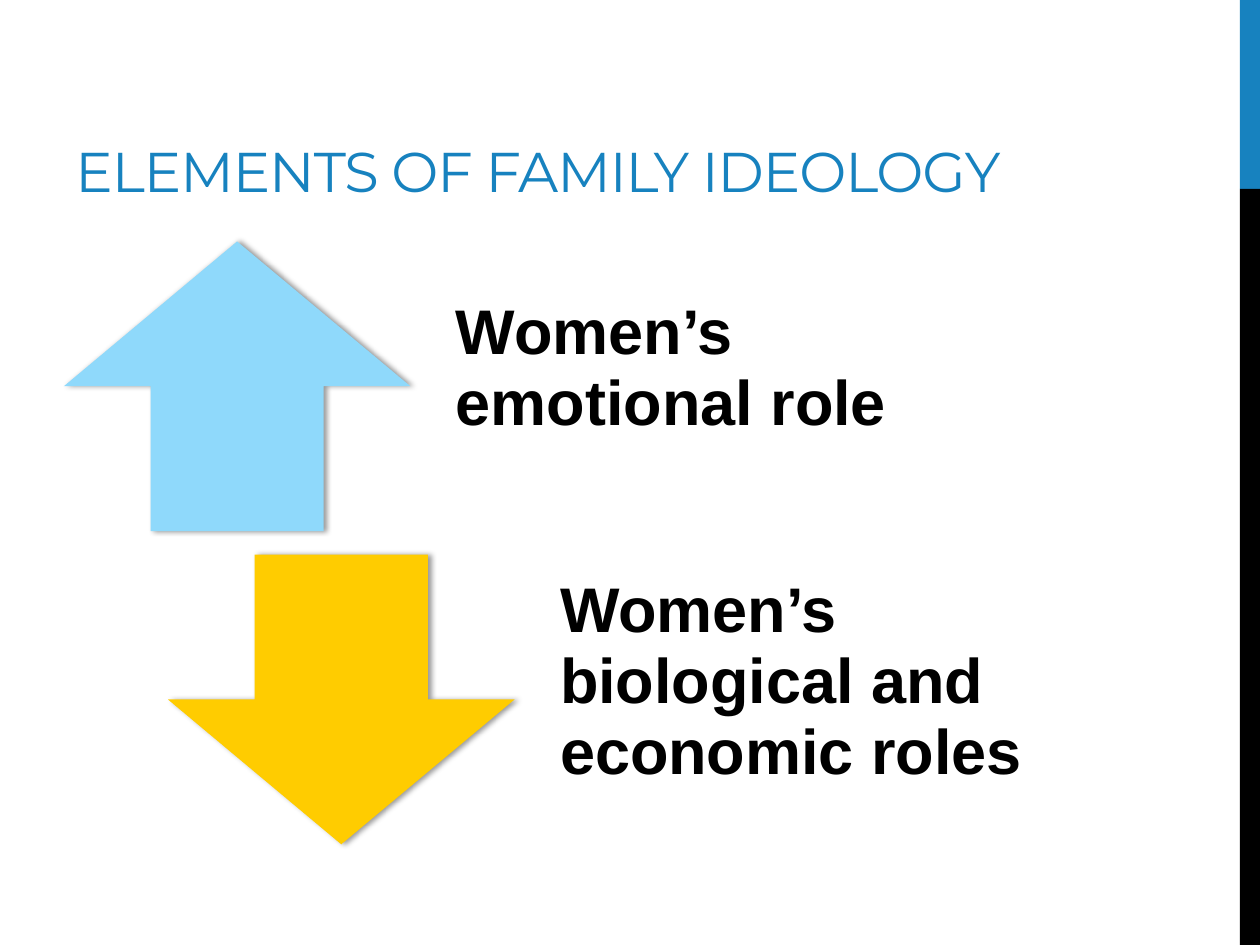
from lxml import etree
from pptx import Presentation
from pptx.dml.color import RGBColor
from pptx.enum.shapes import MSO_SHAPE
from pptx.enum.text import MSO_ANCHOR
from pptx.oxml.ns import qn
from pptx.util import Pt

RECTANGLE = MSO_SHAPE.RECTANGLE
UP_ARROW, DOWN_ARROW = MSO_SHAPE.UP_ARROW, MSO_SHAPE.DOWN_ARROW
MIDDLE, BOTTOM = MSO_ANCHOR.MIDDLE, MSO_ANCHOR.BOTTOM
BLUE, BLACK = "1782BF", "000000"

deck = Presentation()
deck.slide_width, deck.slide_height = Pt(720), Pt(540)
page = deck.slides.add_slide(deck.slide_layouts[6])


def add_filled(kind, left, top, width, height, color):
    shape = page.shapes.add_shape(kind, Pt(left), Pt(top), Pt(width), Pt(height))
    shape.shadow.inherit = False
    shape.fill.solid()
    shape.fill.fore_color.rgb = RGBColor.from_string(color)
    shape.line.fill.background()
    return shape


def add_text(text, left, top, width, height, *, font, size, color, anchor,
             insets, bold=False, line_spacing=1.0):
    box = page.shapes.add_textbox(Pt(left), Pt(top), Pt(width), Pt(height))
    frame = box.text_frame
    frame.word_wrap = True
    frame.vertical_anchor = anchor
    (frame.margin_left, frame.margin_top,
     frame.margin_right, frame.margin_bottom) = [Pt(inset) for inset in insets]
    para = frame.paragraphs[0]
    para.line_spacing = line_spacing
    span = para.add_run()
    span.text = text
    span.font.name, span.font.size, span.font.bold = font, Pt(size), bold
    span.font.color.rgb = RGBColor.from_string(color)
    return span


# Side band
add_filled(RECTANGLE, 708.5, 0, 11.5, 108, BLUE)
add_filled(RECTANGLE, 708.5, 108, 11.5, 432, BLACK)

# Title, slightly tightened
title = add_text("ELEMENTS OF FAMILY IDEOLOGY", 36, 12.25, 665.25, 108,
                 font="Montserrat", size=32, color=BLUE, anchor=BOTTOM,
                 insets=(7.2, 3.6, 7.2, 3.6))
title.font._element.set("spc", "-60")

# Arrows with their captions, each row stepped right and down
rows = [
    (UP_ARROW, "8FD9FB", "Women’s emotional role"),
    (DOWN_ARROW, "FFCC00", "Women’s biological and economic roles"),
]
for index, (kind, color, caption) in enumerate(rows):
    left, top = 36.5 + 59.5 * index, 138 + 179 * index
    arrow = add_filled(kind, left, top, 198, 165.5, color)

    # Soft shadow to the right
    effects = arrow._element.spPr.find(qn("a:effectLst"))
    shadow = etree.SubElement(effects, qn("a:outerShdw"), blurRad=str(Pt(3.1)),
                              dist=str(Pt(1.8)), dir="0", rotWithShape="0")
    shade = etree.SubElement(shadow, qn("a:srgbClr"), val=BLACK)
    etree.SubElement(shade, qn("a:alpha"), val="40000")

    add_text(caption, left + 204, top, 336, 165.5, font="Arial", size=36,
             color=BLACK, anchor=MIDDLE, insets=(20, 0, 20, 20), bold=True,
             line_spacing=0.94)

deck.save("out.pptx")
